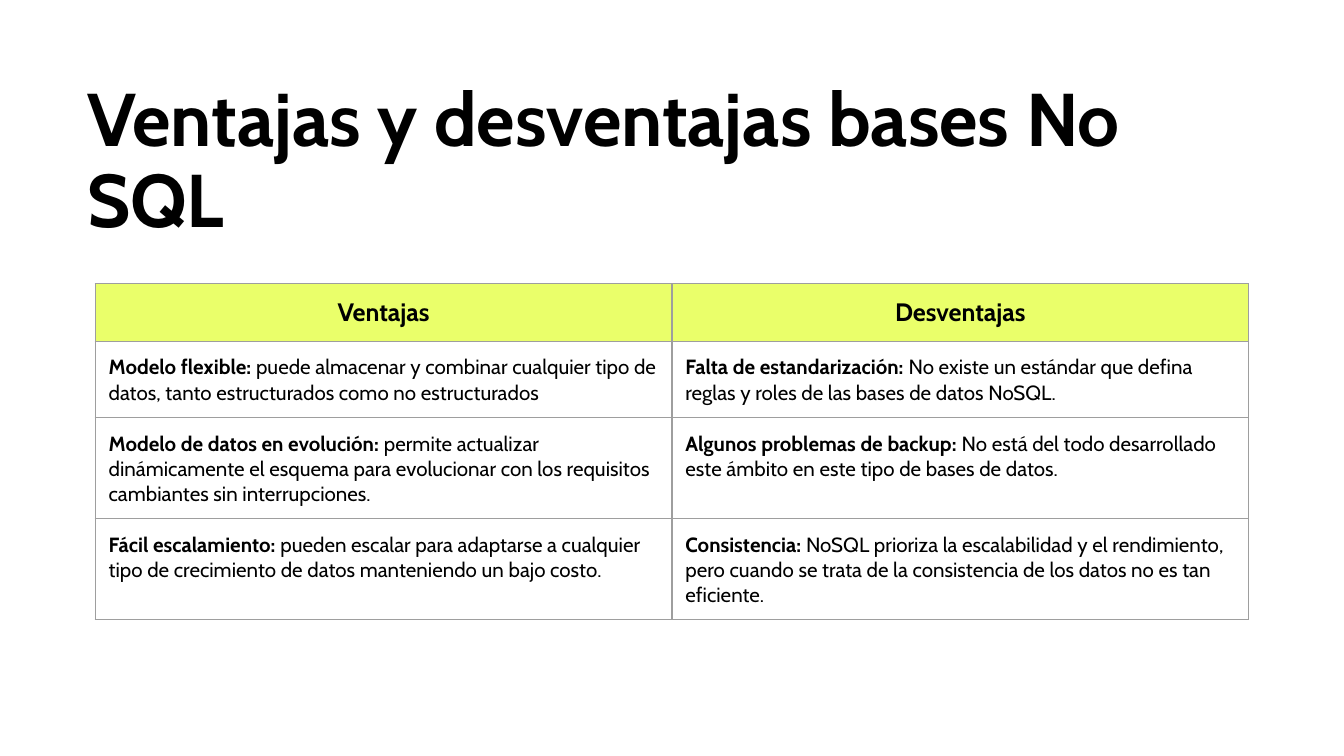
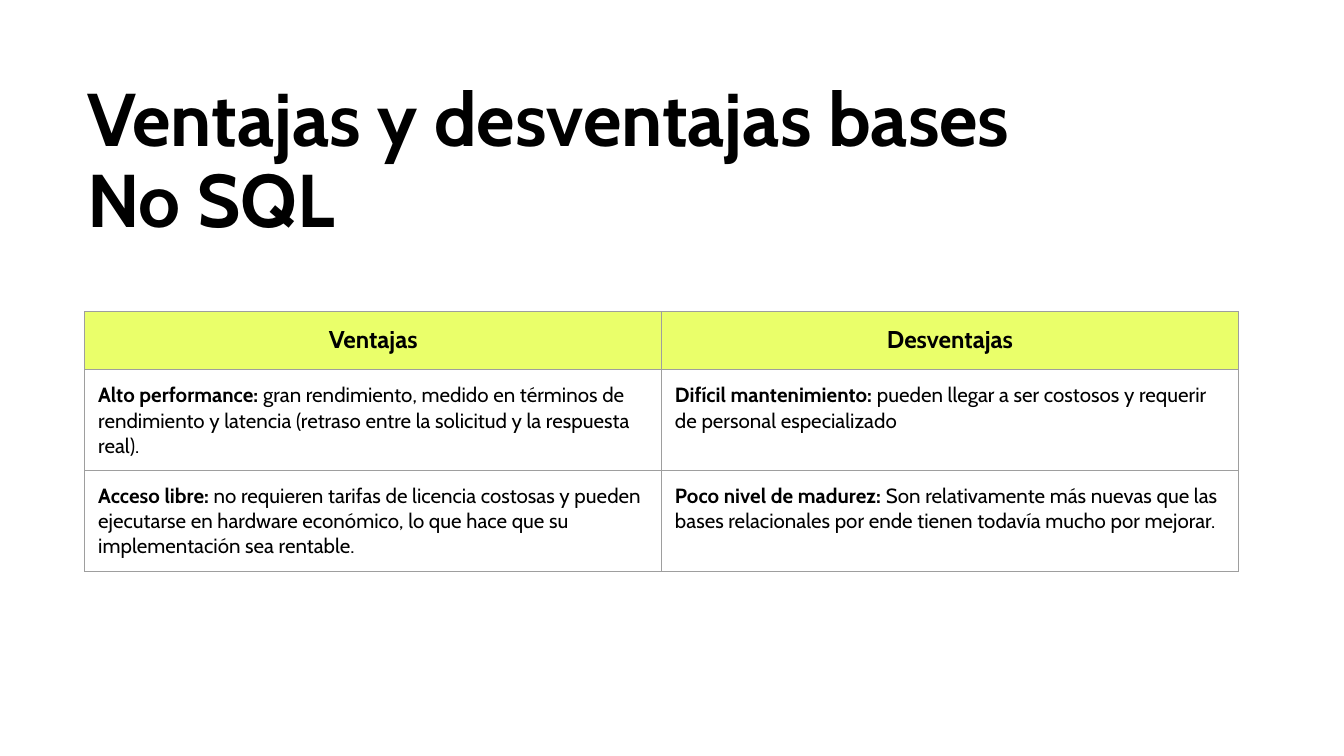
"""Build two slides that compare pros and cons of NoSQL databases in tables."""
from dataclasses import dataclass

from lxml import etree
from pptx import Presentation
from pptx.dml.color import RGBColor
from pptx.enum.text import MSO_AUTO_SIZE, PP_ALIGN
from pptx.oxml.ns import qn
from pptx.util import Pt

CENTER = PP_ALIGN.CENTER
LEFT = PP_ALIGN.LEFT
GROW = MSO_AUTO_SIZE.SHAPE_TO_FIT_TEXT

TITLE = "Ventajas y desventajas bases No SQL"
HEADS = ("Ventajas", "Desventajas")

SLIDES = [
    {
        "title_w": 576, "at": (51, 152), "head_size": 13.5,
        "heights": (31, 35.3, 46.8, 35.3),
        "rows": [
            (("Modelo flexible:",
              " puede almacenar y combinar cualquier tipo de datos, tanto "
              "estructurados como no estructurados"),
             ("Falta de estandarización: ",
              "No existe un estándar que defina reglas y roles de las bases "
              "de datos NoSQL.")),
            (("Modelo de datos en evolución:",
              " permite actualizar dinámicamente el esquema para evolucionar "
              "con los requisitos cambiantes sin interrupciones."),
             ("Algunos problemas de backup: ",
              "No está del todo desarrollado este ámbito en este tipo de "
              "bases de datos.")),
            (("Fácil escalamiento: ",
              "pueden escalar para adaptarse a cualquier tipo de crecimiento "
              "de datos manteniendo un bajo costo."),
             ("Consistencia: ",
              "NoSQL prioriza la escalabilidad y el rendimiento, pero cuando "
              "se trata de la consistencia de los datos no es tan "
              "eficiente.")),
        ],
    },
    {
        "title_w": 566.6, "at": (45.4, 167), "head_size": 13,
        "heights": (31, 35.3, 46.8),
        "rows": [
            (("Alto performance: ",
              "gran rendimiento, medido en términos de rendimiento y latencia "
              "(retraso entre la solicitud y la respuesta real)."),
             ("Difícil mantenimiento: ",
              "pueden llegar a ser costosos y requerir de personal "
              "especializado")),
            (("Acceso libre: ",
              "no requieren tarifas de licencia costosas y pueden ejecutarse "
              "en hardware económico, lo que hace que su implementación sea "
              "rentable."),
             ("Poco nivel de madurez: ",
              "Son relativamente más nuevas que las bases relacionales por "
              "ende tienen todavía mucho por mejorar.")),
        ],
    },
]


@dataclass(frozen=True)
class Theme:
    font: str = "Cabin"
    ink: str = "000000"
    paper: str = "FFFFFF"
    lime: str = "EAFF6A"
    rule: str = "9E9E9E"
    title: float = 40
    body: float = 11
    line: float = 0.75
    inset: float = 7.2
    col: float = 309


THEME = Theme()


def rgb(code):
    return RGBColor.from_string(code)


def pad(box):
    for side in ("left", "top", "right", "bottom"):
        setattr(box, f"margin_{side}", Pt(THEME.inset))


def write(para, parts, size, align=LEFT):
    para.alignment = align
    font = para.font
    font.name, font.size = THEME.font, Pt(size)
    font.color.rgb = rgb(THEME.ink)
    for i, text in enumerate(parts):
        run = para.add_run()
        run.text = text
        run.font.bold = i == 0


def edge(cell):
    props = cell._tc.get_or_add_tcPr()
    for side in ("lnL", "lnR", "lnT", "lnB"):
        line = etree.SubElement(props, qn(f"a:{side}"), w=str(Pt(THEME.line)))
        fill = etree.SubElement(line, qn("a:solidFill"))
        etree.SubElement(fill, qn("a:srgbClr"), val=THEME.rule)


def add_title(slide, width):
    box = slide.shapes.add_textbox(Pt(39.6), Pt(36.7), Pt(width), Pt(101.5))
    frame = box.text_frame
    frame.word_wrap = True
    frame.auto_size = GROW
    pad(frame)
    para = frame.paragraphs[0]
    para.line_spacing = 0.9
    write(para, [TITLE], THEME.title)


def add_grid(slide, data):
    rows = [[(head,) for head in HEADS], *data["rows"]]
    left, top = data["at"]
    grid = slide.shapes.add_table(
        len(rows), len(HEADS), Pt(left), Pt(top),
        Pt(THEME.col * len(HEADS)), Pt(sum(data["heights"]))).table
    grid.first_row = grid.horz_banding = False
    for col in grid.columns:
        col.width = Pt(THEME.col)
    for r, (row, high) in enumerate(zip(rows, data["heights"])):
        grid.rows[r].height = Pt(high)
        for c, parts in enumerate(row):
            cell = grid.cell(r, c)
            pad(cell)
            edge(cell)
            para = cell.text_frame.paragraphs[0]
            if r == 0:
                cell.fill.solid()
                cell.fill.fore_color.rgb = rgb(THEME.lime)
                write(para, parts, data["head_size"], CENTER)
            else:
                cell.fill.background()
                write(para, parts, THEME.body)


def main():
    deck = Presentation()
    deck.slide_width, deck.slide_height = Pt(720), Pt(405)
    for data in SLIDES:
        slide = deck.slides.add_slide(deck.slide_layouts[6])
        back = slide.background.fill
        back.solid()
        back.fore_color.rgb = rgb(THEME.paper)
        add_title(slide, data["title_w"])
        add_grid(slide, data)
    deck.save("out.pptx")


if __name__ == "__main__":
    main()
